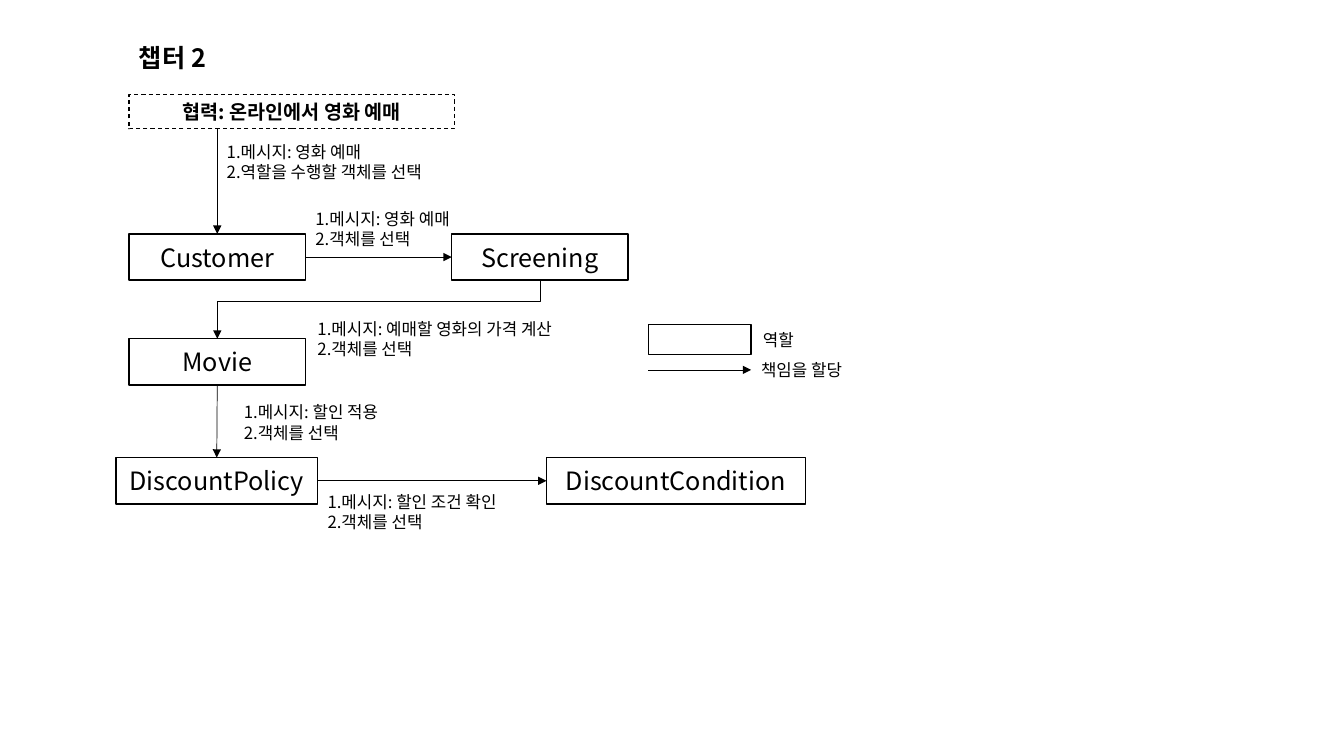
from lxml import etree
from pptx import Presentation
from pptx.dml.color import RGBColor
from pptx.enum.dml import MSO_LINE
from pptx.enum.shapes import MSO_CONNECTOR, MSO_SHAPE
from pptx.enum.text import MSO_ANCHOR, PP_ALIGN
from pptx.oxml.ns import qn
from pptx.util import Inches, Pt

RECTANGLE = MSO_SHAPE.RECTANGLE
STRAIGHT, ELBOW = MSO_CONNECTOR.STRAIGHT, MSO_CONNECTOR.ELBOW
CENTER, LEFT = PP_ALIGN.CENTER, PP_ALIGN.LEFT
TOP, MIDDLE = MSO_ANCHOR.TOP, MSO_ANCHOR.MIDDLE
DASH = MSO_LINE.DASH
BLACK = RGBColor(0, 0, 0)
FONT = "Noto Sans CJK KR"
BOX_HEIGHT = 0.46
LABEL_HEIGHT = 0.3
MESSAGE_HEIGHT = 0.5
TOP_SITE, LEFT_SITE, BOTTOM_SITE, RIGHT_SITE = range(4)

TITLE = ("챕터 2", (1.28, 0.37, 1.6, 0.4))
COLLABORATION = ("협력: 온라인에서 영화 예매", (1.28, 0.94, 3.23, 0.34))
# role: left, top, width
ROLES = {
    "Customer": (1.28, 2.32, 1.75),
    "Screening": (4.48, 2.32, 1.75),
    "Movie": (1.28, 3.36, 1.75),
    "DiscountPolicy": (1.15, 4.54, 2),
    "DiscountCondition": (5.42, 4.54, 2.57),
}
ASSIGNMENTS = [
    ("Customer", RIGHT_SITE, "Screening", LEFT_SITE),
    ("Movie", BOTTOM_SITE, "DiscountPolicy", TOP_SITE),
    ("DiscountPolicy", RIGHT_SITE, "DiscountCondition", LEFT_SITE),
]
# message, choice, left, top, width
MESSAGES = [
    ("메시지: 영화 예매", "역할을 수행할 객체를 선택", 2.15, 1.36, 2.51),
    ("메시지: 영화 예매", "객체를 선택", 3.03, 2.02, 1.79),
    ("메시지: 예매할 영화의 가격 계산", "객체를 선택", 3.05, 3.11, 3.21),
    ("메시지: 할인 적용", "객체를 선택", 2.32, 3.94, 1.93),
    ("메시지: 할인 조건 확인", "객체를 선택", 3.15, 4.83, 2.29),
]
LEGEND_LEFT, LEGEND_TOP, LEGEND_WIDTH = 6.43, 3.22, 1.02
LEGEND_LABELS = [("역할", 0.54, CENTER), ("책임을 할당", 1.16, LEFT)]


def write(shape, lines, size, bold=False, align=LEFT, anchor=TOP, numbered=False):
    """Fill a shape with one paragraph for each line."""
    frame = shape.text_frame
    frame.word_wrap = True
    frame.vertical_anchor = anchor
    frame.text = "\n".join(lines)
    for para in frame.paragraphs:
        para.alignment = align
        span = para.runs[0]
        for name, value in {"name": FONT, "size": Pt(size), "bold": bold}.items():
            setattr(span.font, name, value)
        span.font.color.rgb = BLACK
        etree.SubElement(span.font._element, qn("a:ea"), typeface=FONT)
        if numbered:
            properties = para._p.get_or_add_pPr()
            properties.set("marL", "0")
            properties.set("indent", str(-Inches(0.2)))
            etree.SubElement(properties, qn("a:buAutoNum"), type="arabicPeriod")


def add_text(page, place, lines, size, **format_values):
    """Add a text box at a left, top, width and height."""
    box = page.shapes.add_textbox(*map(Inches, place))
    write(box, lines, size, **format_values)


def add_box(page, place, line_width=1):
    """Add an unfilled black outlined rectangle."""
    box = page.shapes.add_shape(RECTANGLE, *map(Inches, place))
    box.shadow.inherit = False
    box.fill.background()
    box.line.color.rgb = BLACK
    box.line.width = Pt(line_width)
    return box


def add_arrow(page, start, end, kind=STRAIGHT):
    """Add a thin connector with a triangle at its end."""
    arrow = page.shapes.add_connector(kind, *map(Inches, start + end))
    arrow.line.color.rgb = BLACK
    arrow.line.width = Pt(0.5)
    etree.SubElement(arrow.line._get_or_add_ln(), qn("a:tailEnd"), type="triangle")
    etree.SubElement(arrow._element.spPr, qn("a:effectLst"))
    return arrow


def add_down_elbow(page, start, end, bend):
    """Add an arrow that goes down, left and down, as an elbow turned by 90 degrees."""
    drop, reach = end[1] - start[1], start[0] - end[0]
    middle_x, middle_y = (start[0] + end[0]) / 2, (start[1] + end[1]) / 2
    arrow = add_arrow(page, (middle_x - drop / 2, middle_y - reach / 2),
                      (middle_x + drop / 2, middle_y + reach / 2), ELBOW)
    properties = arrow._element.spPr
    properties.find(qn("a:xfrm")).set("rot", str(90 * 60000))
    guides = properties.find(qn("a:prstGeom")).find(qn("a:avLst"))
    etree.SubElement(guides, qn("a:gd"), name="adj1", fmla=f"val {round(bend * 100000)}")


def middle(role):
    """Return the horizontal middle of a role box."""
    left, _, width = ROLES[role]
    return left + width / 2


deck = Presentation()
deck.slide_width, deck.slide_height = Inches(13.33), Inches(7.5)
page = deck.slides.add_slide(deck.slide_layouts[6])

title, place = TITLE
add_text(page, place, [title], 18, bold=True)

collaboration, place = COLLABORATION
header = add_box(page, place, 0.75)
header.line.dash_style = DASH
write(header, [collaboration], 14, bold=True, align=CENTER)
header_bottom = place[1] + place[3]

boxes = {}
for role, place in ROLES.items():
    boxes[role] = add_box(page, place + (BOX_HEIGHT,))
    write(boxes[role], [role], 18, align=CENTER, anchor=MIDDLE)

customer_x = middle("Customer")
add_arrow(page, (customer_x, header_bottom), (customer_x, ROLES["Customer"][1]))
add_down_elbow(page, (middle("Screening"), ROLES["Screening"][1] + BOX_HEIGHT),
               (middle("Movie"), ROLES["Movie"][1]), 0.37)
for giver, giver_site, taker, taker_site in ASSIGNMENTS:
    arrow = add_arrow(page, (0, 0), (1, 1))
    arrow.begin_connect(boxes[giver], giver_site)
    arrow.end_connect(boxes[taker], taker_site)

for message, choice, left, top, width in MESSAGES:
    add_text(page, (left, top, width, MESSAGE_HEIGHT), [message, choice], 12, numbered=True)

add_box(page, (LEGEND_LEFT, LEGEND_TOP, LEGEND_WIDTH, LABEL_HEIGHT))
legend_right = LEGEND_LEFT + LEGEND_WIDTH
arrow_y = LEGEND_TOP + LABEL_HEIGHT * 1.5
add_arrow(page, (LEGEND_LEFT, arrow_y), (legend_right, arrow_y))
for row, (label, width, align) in enumerate(LEGEND_LABELS):
    place = (legend_right, LEGEND_TOP + row * LABEL_HEIGHT, width, LABEL_HEIGHT)
    add_text(page, place, [label], 12, align=align)

deck.save("out.pptx")
